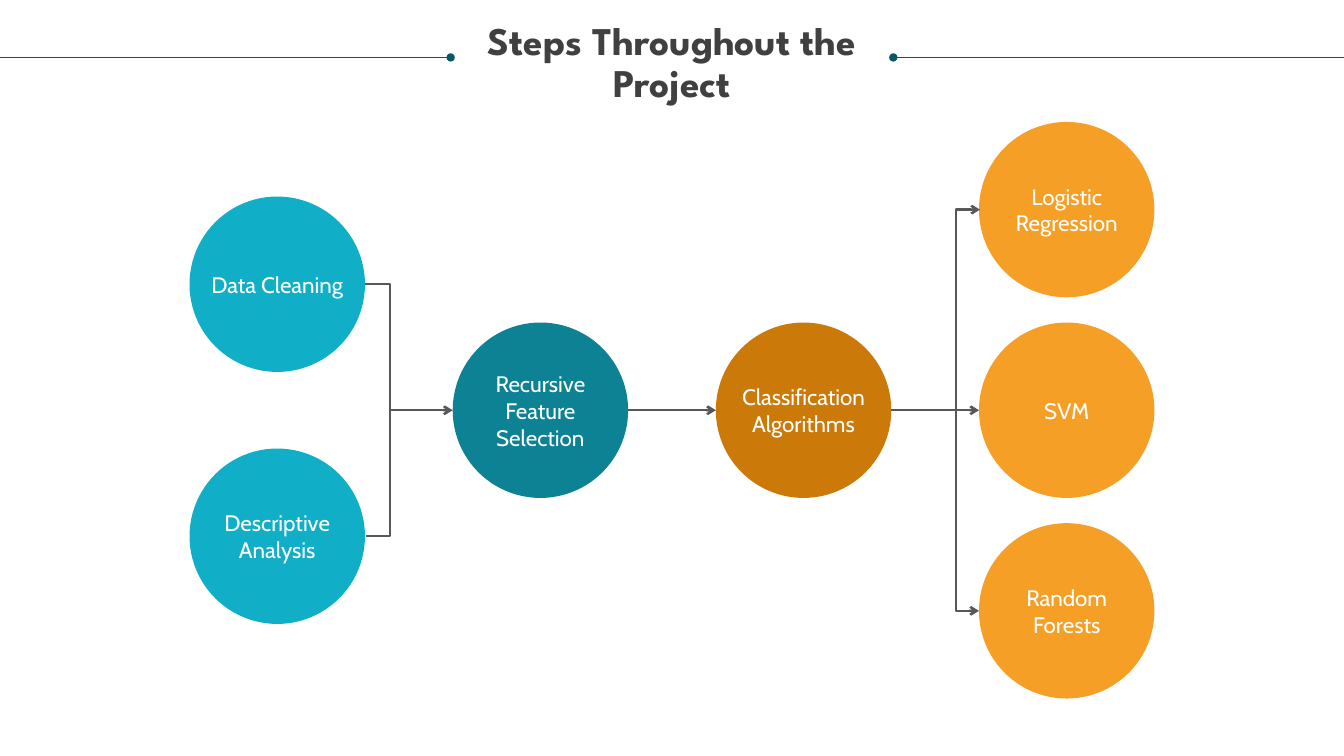
from lxml import etree
from pptx import Presentation
from pptx.dml.color import RGBColor
from pptx.enum.shapes import MSO_CONNECTOR, MSO_SHAPE
from pptx.enum.text import MSO_ANCHOR, PP_ALIGN
from pptx.oxml.ns import qn
from pptx.util import Inches, Pt

STRAIGHT, ELBOW = MSO_CONNECTOR.STRAIGHT, MSO_CONNECTOR.ELBOW
OVAL = MSO_SHAPE.OVAL
TOP, MIDDLE = MSO_ANCHOR.TOP, MSO_ANCHOR.MIDDLE
CENTER = PP_ALIGN.CENTER

WHITE = RGBColor(0xFF, 0xFF, 0xFF)
CHARCOAL = RGBColor(0x40, 0x40, 0x40)
GRAY = RGBColor(0x58, 0x58, 0x58)
DEEP_TEAL = RGBColor(0x08, 0x57, 0x64)
CYAN = RGBColor(0x11, 0xAE, 0xC7)
TEAL = RGBColor(0x0D, 0x82, 0x95)
BROWN = RGBColor(0xCB, 0x7A, 0x09)
ORANGE = RGBColor(0xF5, 0x9F, 0x26)

TITLE_FONT = {"name": "League Spartan", "size": Pt(28), "bold": True}
LABEL_FONT = {"name": "Cabin", "size": Pt(16), "bold": False}

DIAMETER = 1.74
RADIUS = DIAMETER / 2
LABEL_W, LINE_H = 1.5, 0.27
MID_Y = 4.07
RULE_Y = 0.57
COLUMNS = [2.75 + 2.61 * i for i in range(4)]  # circle centres
INPUT_YS = (2.82, 5.32)
MODEL_YS = (2.08, MID_Y, 6.06)

# centre x, centre y, fill, label, label lines
STEPS = [
    (COLUMNS[0], INPUT_YS[0], CYAN, "Data Cleaning", 1),
    (COLUMNS[0], INPUT_YS[1], CYAN, "Descriptive Analysis", 2),
    (COLUMNS[1], MID_Y, TEAL, "Recursive Feature Selection", 3),
    (COLUMNS[2], MID_Y, BROWN, "Classification Algorithms", 2),
    (COLUMNS[3], MODEL_YS[0], ORANGE, "Logistic Regression", 2),
    (COLUMNS[3], MODEL_YS[1], ORANGE, "SVM", 1),
    (COLUMNS[3], MODEL_YS[2], ORANGE, "Random Forests", 2),
]


class Diagram:
    def __init__(self, slide):
        self.slide = slide
        self.shapes = slide.shapes

    def set_text(self, sp, lines, font, color, anchor, spacing=1.0):
        tf = sp.text_frame
        frame = {"word_wrap": True, "vertical_anchor": anchor, "margin_left": 0,
                 "margin_right": 0, "margin_top": 0, "margin_bottom": 0}
        for name, value in frame.items():
            setattr(tf, name, value)
        for i, line in enumerate(lines):
            p = tf.add_paragraph() if i else tf.paragraphs[0]
            p.alignment, p.line_spacing = CENTER, spacing
            p.space_before = Pt(0)
            r = p.add_run()
            r.text = line
            for name, value in font.items():
                setattr(r.font, name, value)
            r.font.color.rgb = color

    def title(self, lines):
        sp = self.shapes.title
        sp.left, sp.top = Inches(0.25), Inches(0.21)
        sp.width, sp.height = Inches(12.83), Inches(1.27)
        self.set_text(sp, lines, TITLE_FONT, CHARCOAL, TOP, 0.9)

    def circle(self, x, y, fill):
        sp = self.shapes.add_shape(OVAL, Inches(x - RADIUS), Inches(y - RADIUS),
                                   Inches(DIAMETER), Inches(DIAMETER))
        sp.shadow.inherit = False
        sp.fill.solid()
        sp.fill.fore_color.rgb = fill
        sp.line.fill.background()

    def label(self, x, y, text, lines):
        height = LINE_H * lines
        sp = self.shapes.add_textbox(Inches(x - LABEL_W / 2), Inches(y - height / 2),
                                     Inches(LABEL_W), Inches(height))
        self.set_text(sp, [text], LABEL_FONT, WHITE, MIDDLE)

    def line(self, start, end, color=GRAY, width=1.75, head=None, tail=None, via_x=None):
        """Draw a straight line, or an elbow that turns at via_x."""
        kind = STRAIGHT if via_x is None else ELBOW
        cx = self.shapes.add_connector(kind, *map(Inches, start + end))
        cx.line.color.rgb = color
        cx.line.width = Pt(width)
        sp_pr = cx._element.spPr
        ln = sp_pr.find(qn("a:ln"))
        for tag, end_type in (("a:headEnd", head), ("a:tailEnd", tail)):
            if end_type:
                etree.SubElement(ln, qn(tag), type=end_type)
        etree.SubElement(sp_pr, qn("a:effectLst"))
        if via_x is not None:
            ratio = (via_x - start[0]) / (end[0] - start[0])
            guides = sp_pr.find(qn("a:prstGeom")).find(qn("a:avLst"))
            etree.SubElement(guides, qn("a:gd"), name="adj1",
                             fmla=f"val {round(ratio * 100000)}")


def main():
    prs = Presentation()
    prs.slide_width, prs.slide_height = Inches(13.33), Inches(7.5)
    d = Diagram(prs.slides.add_slide(prs.slide_layouts[5]))

    d.title(["Steps Throughout the", "Project"])
    d.line((8.86, RULE_Y), (13.33, RULE_Y), DEEP_TEAL, 0.5, head="oval")
    d.line((0, RULE_Y), (4.47, RULE_Y), DEEP_TEAL, 0.5, tail="oval")

    for x, y, fill, _, _ in STEPS:
        d.circle(x, y, fill)

    merge_x, split_x = 3.87, 9.48
    inputs_right = COLUMNS[0] + RADIUS
    models_left = COLUMNS[3] - RADIUS
    d.line((inputs_right, INPUT_YS[0]), (inputs_right + 0.01, INPUT_YS[1]), via_x=merge_x)
    starts = [merge_x, COLUMNS[1] + RADIUS, COLUMNS[2] + RADIUS]
    for start_x, column in zip(starts, COLUMNS[1:]):
        d.line((start_x, MID_Y), (column - RADIUS, MID_Y), tail="arrow")
    d.line((models_left + 0.01, MODEL_YS[0]), (models_left, MODEL_YS[2]),
           head="arrow", tail="arrow", via_x=split_x)

    for x, y, _, text, lines in STEPS:
        d.label(x, y, text, lines)

    prs.save("out.pptx")


if __name__ == "__main__":
    main()
